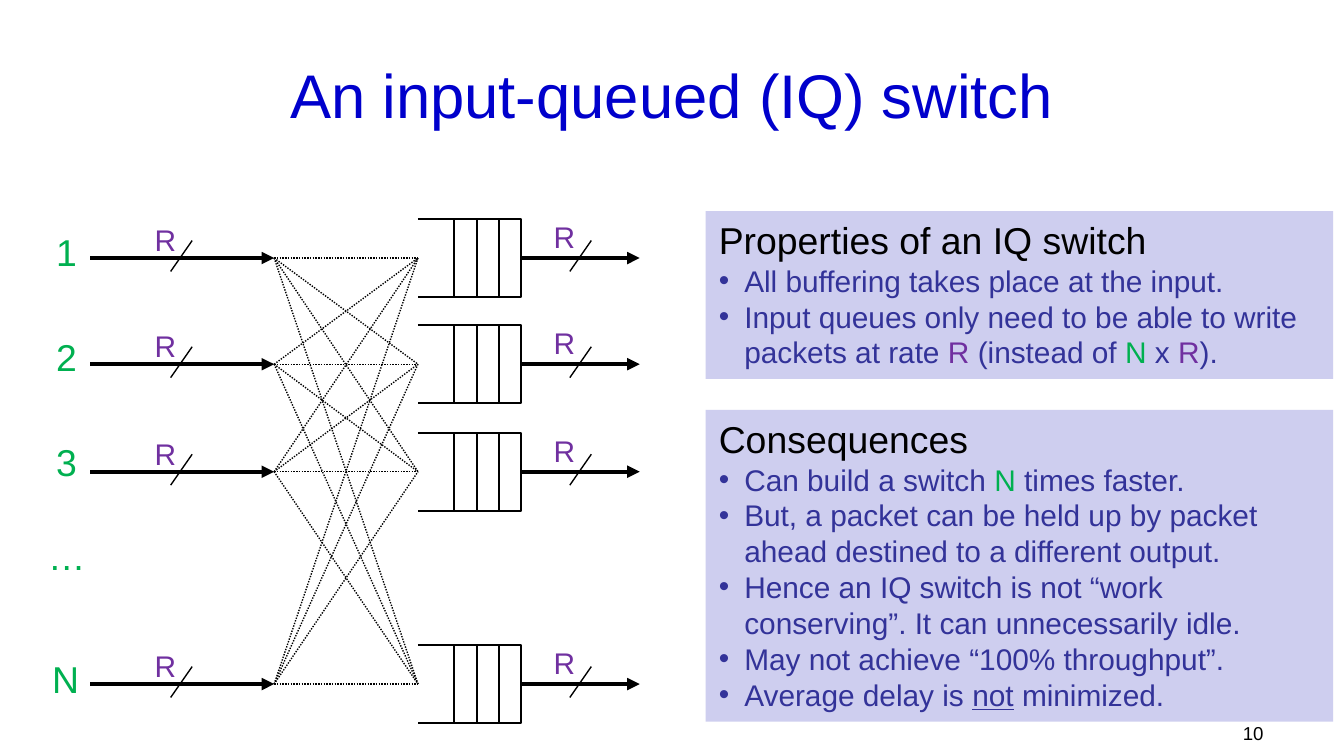
from dataclasses import dataclass
from itertools import product
from typing import NamedTuple, Optional

from lxml import etree
from pptx import Presentation
from pptx.dml.color import RGBColor
from pptx.enum import dml, shapes, text
from pptx.oxml import ns
from pptx.util import Inches, Pt


@dataclass(frozen=True)
class Theme:
    font: str = "Arial"
    title: str = "0000CC"
    ink: str = "000000"
    body: str = "333399"
    rate: str = "7030A0"
    port: str = "00B050"
    panel: str = "CECEEF"
    title_size: float = 33
    head_size: float = 20
    body_size: float = 16
    page_size: float = 10
    thin: float = 0.75
    frame: float = 1
    thick: float = 2.25


class Run(NamedTuple):
    words: str
    color: Optional[str] = None
    under: bool = False


class Port(NamedTuple):
    name: str
    y: float
    left: float
    top: float
    width: float


class Panel(NamedTuple):
    top: float
    height: float
    head: str
    items: list[list[Run]]


T = Theme()
LEFT, RIGHT = 2.04, 3.11  # sides of the switching mesh

PORTS = [
    Port("1", 1.92, 0.32, 1.66, 0.36),
    Port("2", 2.71, 0.32, 2.44, 0.36),
    Port("3", 3.51, 0.32, 3.22, 0.36),
    Port("N", 5.09, 0.29, 4.83, 0.41),
]

PANELS = [
    Panel(1.57, 1.25, "Properties of an IQ switch", [
        [Run("All buffering takes place at the input.")],
        [Run("Input queues only need to be able to write packets at rate "),
         Run("R ", T.rate), Run("(instead of "), Run("N", T.port),
         Run(" x "), Run("R", T.rate), Run(").")],
    ]),
    Panel(3.05, 2.32, "Consequences", [
        [Run("Can build a switch "), Run("N", T.port), Run(" times faster.")],
        [Run("But, a packet can be held up by packet ahead destined to a "
             "different output.")],
        [Run("Hence an IQ switch is not “work conserving”. It can "
             "unnecessarily idle.")],
        [Run("May not achieve “100% throughput”.")],
        [Run("Average delay is "), Run("not", under=True),
         Run(" minimized.")],
    ]),
]


def write(para, runs: list[Run], size: float, color: str) -> None:
    para.font.name = T.font
    para.font.size = Pt(size)
    para.font.color.rgb = RGBColor.from_string(color)
    for part in runs:
        run = para.add_run()
        run.text = part.words
        if part.color:
            run.font.color.rgb = RGBColor.from_string(part.color)
        if part.under:
            run.font.underline = True


def label(slide, words: str, box: tuple, size: float, color: str,
          align=text.PP_ALIGN.LEFT, wrap: bool = False,
          anchor=text.MSO_ANCHOR.TOP) -> None:
    frame = slide.shapes.add_textbox(*map(Inches, box)).text_frame
    frame.word_wrap = wrap
    frame.vertical_anchor = anchor
    para = frame.paragraphs[0]
    para.alignment = align
    write(para, [Run(words)], size, color)


def line(slide, start: tuple, end: tuple, width: float,
         arrow: bool = False, dots: bool = False) -> None:
    link = slide.shapes.add_connector(
        shapes.MSO_CONNECTOR.STRAIGHT, *map(Inches, start + end))
    link.line.color.rgb = RGBColor.from_string(T.ink)
    link.line.width = Pt(width)
    if dots:
        link.line.dash_style = dml.MSO_LINE.ROUND_DOT
    if arrow:
        etree.SubElement(link.line._get_or_add_ln(), ns.qn("a:tailEnd"),
                         type="triangle")
    etree.SubElement(link._element.spPr, ns.qn("a:effectLst"))


def wire(slide, x: float, end: float, y: float, mark: float,
         lift: float) -> None:
    """Draw an arrow with its rate label and slash."""
    line(slide, (x, y), (end, y), T.thick, arrow=True)
    label(slide, "R", (mark, y - lift, 0.36, 0.37), T.body_size, T.rate,
          text.PP_ALIGN.CENTER)
    line(slide, (mark + 0.22, y + 0.1), (mark + 0.38, y - 0.13), T.thin)


def queue(slide, y: float) -> None:
    top, base, end = y - 0.29, y + 0.29, 3.88
    pen = slide.shapes.build_freeform(
        Inches(RIGHT), Inches(top), scale=1.0)
    pen.add_line_segments(
        [(Inches(a), Inches(b))
         for a, b in ((end, top), (end, base), (RIGHT, base))], close=False)
    box = pen.convert_to_shape()
    box.shadow.inherit = False
    box.fill.background()
    box.line.color.rgb = RGBColor.from_string(T.ink)
    box.line.width = Pt(T.frame)
    for x in (3.38, 3.55, 3.71):
        line(slide, (x, top), (x, base), T.frame)


def panel(slide, part: Panel) -> None:
    box = slide.shapes.add_shape(
        shapes.MSO_SHAPE.RECTANGLE, Inches(5.25), Inches(part.top),
        Inches(4.67), Inches(part.height))
    box.shadow.inherit = False
    box.fill.solid()
    box.fill.fore_color.rgb = RGBColor.from_string(T.panel)
    box.line.fill.background()
    frame = box.text_frame
    frame.word_wrap = True
    frame.vertical_anchor = text.MSO_ANCHOR.TOP
    head = frame.paragraphs[0]
    head.alignment = text.PP_ALIGN.LEFT
    write(head, [Run(part.head)], T.head_size, T.ink)
    for runs in part.items:
        para = frame.add_paragraph()
        para.alignment = text.PP_ALIGN.LEFT
        props = para._p.get_or_add_pPr()
        props.set("marL", str(Inches(0.19)))
        props.set("indent", str(-Inches(0.19)))
        etree.SubElement(props, ns.qn("a:buFont"), typeface=T.font)
        etree.SubElement(props, ns.qn("a:buChar"), char="•")
        write(para, runs, T.body_size, T.body)


def main() -> None:
    deck = Presentation()
    deck.slide_width = Inches(10)
    deck.slide_height = Inches(10 * 9 / 16)
    slide = deck.slides.add_slide(deck.slide_layouts[6])

    # Title and page number
    label(slide, "An input-queued (IQ) switch", (0.5, 0.23, 9, 0.94),
          T.title_size, T.title, text.PP_ALIGN.CENTER, True,
          text.MSO_ANCHOR.MIDDLE)
    label(slide, "10", (7.17, 5.32, 2.33, 0.39), T.page_size, T.ink,
          text.PP_ALIGN.RIGHT, True)

    # Mesh from every input to every queue
    for source, goal in product(PORTS, repeat=2):
        line(slide, (LEFT, source.y), (RIGHT, goal.y), T.thin, dots=True)

    # Inputs, queues and outputs
    for port in PORTS:
        label(slide, port.name, (port.left, port.top, port.width, 0.44),
              T.head_size, T.port)
        wire(slide, 0.67, LEFT, port.y, 1.05, 0.32)
        queue(slide, port.y)
        wire(slide, 3.88, 4.76, port.y, 4.02, 0.34)
    label(slide, "…", (0.26, 3.92, 0.48, 0.44), T.head_size, T.port)

    # Explanations
    for part in PANELS:
        panel(slide, part)

    deck.save("out.pptx")


if __name__ == "__main__":
    main()
